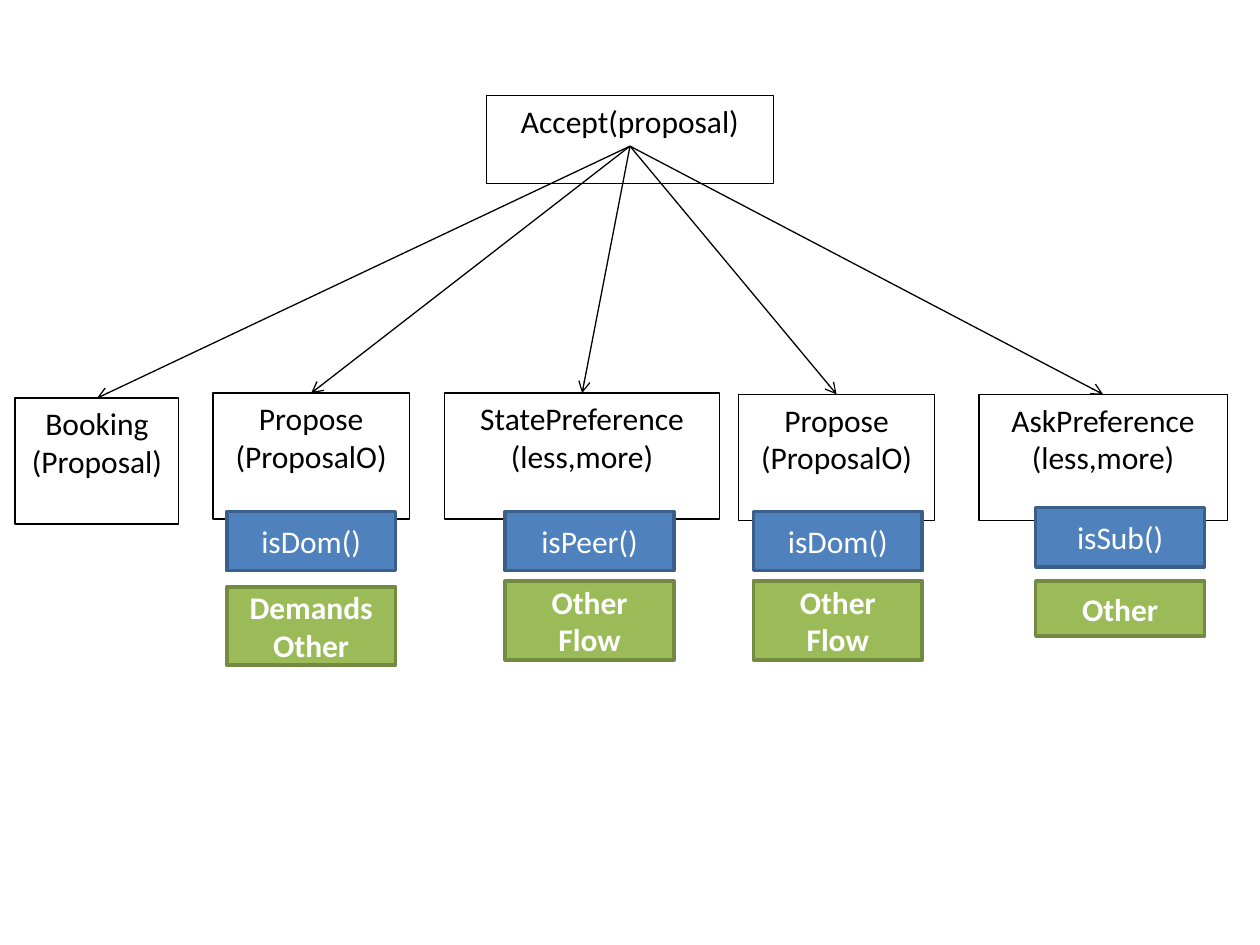
from lxml import etree
from pptx import Presentation
from pptx.dml.color import RGBColor
from pptx.enum import shapes, text
from pptx.oxml import ns
from pptx.util import Inches, Pt

ROOT = (3.86, 0.76, 2.28, 0.7)
HUB = (5, 1.16)
TAG_W = 1.34
BLUE = ("4F81BD", "3A5F8B")
GREEN = ("9BBB59", "728A41")

# Each act: box, label, tag left, (test, top), (flow, top, height)
ACTS = [
    ((0.12, 3.16, 1.3, 1), "Booking\n(Proposal)", 0, None, None),
    ((1.69, 3.12, 1.56, 1), "Propose (ProposalO)", 1.8,
     ("isDom()", 4.06), ("Demands\nOther", 4.66, 0.62)),
    ((3.53, 3.12, 2.18, 1), "StatePreference\n(less,more)", 4.01,
     ("isPeer()", 4.06), ("Other\nFlow", 4.61, 0.63)),
    ((5.86, 3.13, 1.56, 1), "Propose (ProposalO)", 5.98,
     ("isDom()", 4.06), ("Other\nFlow", 4.61, 0.63)),
    ((7.77, 3.13, 1.97, 1), "AskPreference\n(less,more)", 8.22,
     ("isSub()", 4.03), ("Other", 4.61, 0.44)),
]


def color(code):
    """Turn a hex string into a colour."""
    return RGBColor.from_string(code)


def add_box(slide, box, label, tint=None, bold=False):
    """Add a labelled box, outlined or filled with a tint pair."""
    shape = slide.shapes.add_shape(shapes.MSO_SHAPE.RECTANGLE, *map(Inches, box))
    shape.shadow.inherit = False
    if tint:
        shape.fill.solid()
        shape.fill.fore_color.rgb = color(tint[0])
    else:
        shape.fill.background()
    shape.line.color.rgb = color(tint[1] if tint else "000000")
    shape.line.width = Pt(2 if tint else 0.75)
    frame = shape.text_frame
    frame.word_wrap = True
    anchor = text.MSO_ANCHOR
    frame.vertical_anchor = anchor.MIDDLE if tint else anchor.TOP
    frame.text = label
    for para in frame.paragraphs:
        para.alignment = text.PP_ALIGN.CENTER
        for run in para.runs:
            run.font.name = "Calibri"
            run.font.size = Pt(18)
            run.font.bold = bold
            run.font.color.rgb = color("FFFFFF" if tint else "000000")


def add_arrow(slide, start, end):
    """Add a thin black arrow between two points."""
    line = slide.shapes.add_connector(
        shapes.MSO_CONNECTOR.STRAIGHT, *map(Inches, start + end))
    line.line.color.rgb = color("000000")
    line.line.width = Pt(0.75)
    tip = etree.SubElement(line.line._get_or_add_ln(), ns.qn("a:tailEnd"))
    tip.set("type", "arrow")
    etree.SubElement(line._element.spPr, ns.qn("a:effectLst"))


def add_act(slide, box, label, tag_x, test, flow):
    """Add one reply act with its arrow and its tags."""
    left, top, width, _ = box
    add_arrow(slide, HUB, (left + width / 2, top))
    add_box(slide, box, label)
    if test:
        name, y = test
        add_box(slide, (tag_x, y, TAG_W, 0.47), name, BLUE)
    if flow:
        name, y, height = flow
        add_box(slide, (tag_x, y, TAG_W, height), name, GREEN, True)


def main():
    """Build the slide and save it."""
    deck = Presentation()
    deck.slide_width, deck.slide_height = Inches(10), Inches(7.5)
    slide = deck.slides.add_slide(deck.slide_layouts[6])
    add_box(slide, ROOT, "Accept(proposal)")
    for act in ACTS:
        add_act(slide, *act)
    deck.save("out.pptx")


main()
